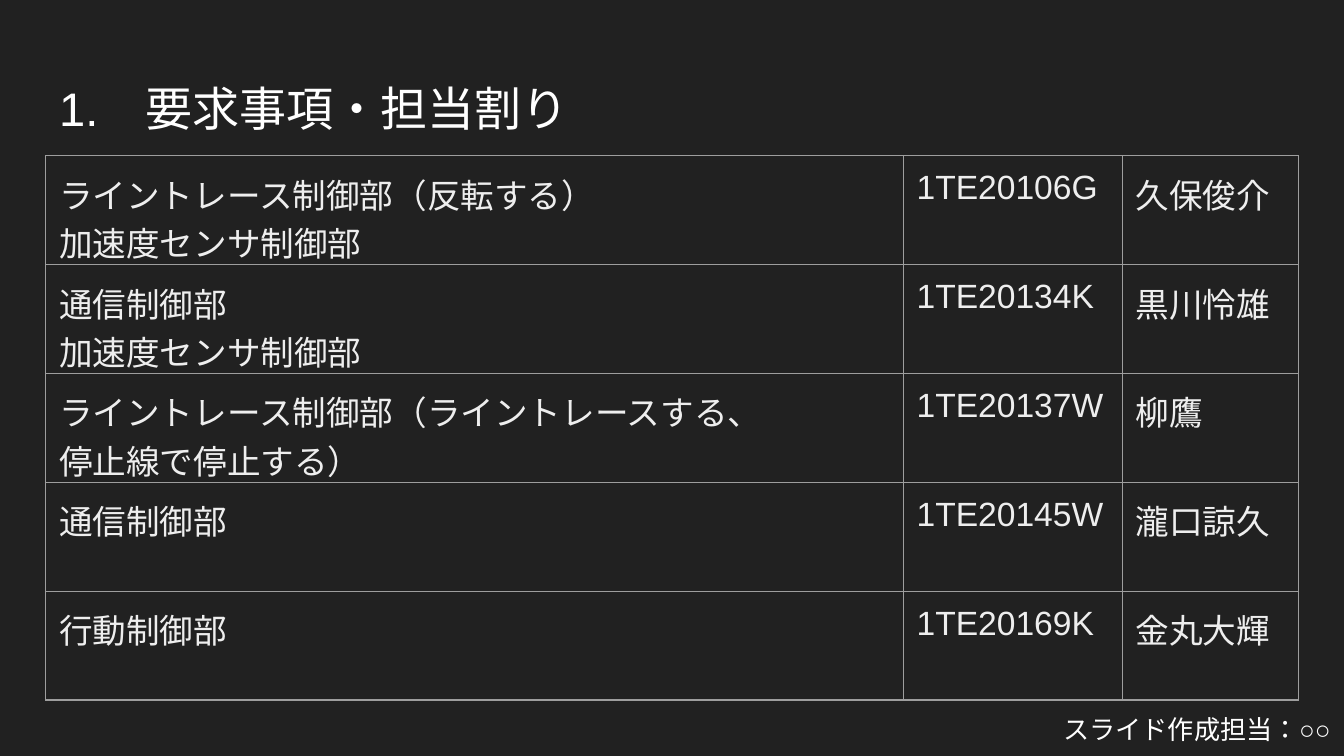
import pptx
import pptx.util
import pptx.dml.color
import pptx.enum.lang
import pptx.enum.text
import pptx.oxml
import pptx.oxml.ns
from lxml import etree

Inches = pptx.util.Inches
RGBColor = pptx.dml.color.RGBColor
ALIGN = pptx.enum.text.PP_ALIGN
ANCHOR = pptx.enum.text.MSO_ANCHOR
FIT = pptx.enum.text.MSO_AUTO_SIZE

DARK = RGBColor(0x21, 0x21, 0x21)
WHITE = RGBColor(0xFF, 0xFF, 0xFF)
PALE = RGBColor(0xEE, 0xEE, 0xEE)
GREY = RGBColor(0x9E, 0x9E, 0x9E)
FACE = "Arial"
INSET = 0.1
WIDTHS = (6.38, 1.63, 1.31)
HEIGHT = 0.81
ROWS = [
    ("ライントレース制御部（反転する）\n加速度センサ制御部", "1TE20106G", "久保俊介"),
    ("通信制御部\n加速度センサ制御部", "1TE20134K", "黒川怜雄"),
    ("ライントレース制御部（ライントレースする、\n停止線で停止する）", "1TE20137W", "柳鷹"),
    ("通信制御部", "1TE20145W", "瀧口諒久"),
    ("行動制御部", "1TE20169K", "金丸大輝"),
]


def pad(item):
    """Give a text frame or a table cell equal insets."""
    for side in ("left", "top", "right", "bottom"):
        setattr(item, f"margin_{side}", Inches(INSET))


def write(frame, text, size, color, align=ALIGN.LEFT, east=True):
    frame.text = text
    look = {"name": FACE, "size": pptx.util.Pt(size), "bold": False,
            "language_id": pptx.enum.lang.MSO_LANGUAGE_ID.JAPANESE}
    for para in frame.paragraphs:
        para.alignment = align
        for run in para.runs:
            for key, value in look.items():
                setattr(run.font, key, value)
            run.font.color.rgb = color
            # East Asian letters use the same face
            if east:
                face = etree.SubElement(run.font._element, pptx.oxml.ns.qn("a:ea"))
                face.set("typeface", FACE)


def place(shape, box):
    for key, value in zip(("left", "top", "width", "height"), box):
        setattr(shape, key, Inches(value))


def add_title(slide, box):
    title = slide.shapes.title
    place(title, box)
    frame = title.text_frame
    pad(frame)
    frame.word_wrap = True
    frame.auto_size = FIT.NONE
    frame.vertical_anchor = ANCHOR.TOP
    write(frame, "1.　要求事項・担当割り", 25.2, WHITE)


def add_lines(cell):
    """Draw the four borders of a cell."""
    props = cell._tc.get_or_add_tcPr()
    for spot, side in enumerate(("lnL", "lnR", "lnT", "lnB")):
        line = pptx.oxml.parse_xml(
            f'<a:{side} {pptx.oxml.ns.nsdecls("a")} w="{pptx.util.Pt(0.75)}">'
            f'<a:solidFill><a:srgbClr val="{GREY}"/></a:solidFill></a:{side}>')
        props.insert(spot, line)


def add_grid(slide, box):
    shape = slide.shapes.add_table(len(ROWS), len(WIDTHS), *map(Inches, box))
    table = shape.table
    for flag in ("first_row", "horz_banding"):
        setattr(table, flag, False)
    for column, width in zip(table.columns, WIDTHS):
        column.width = Inches(width)
    for row, texts in zip(table.rows, ROWS):
        row.height = Inches(HEIGHT)
        for cell, text in zip(row.cells, texts):
            pad(cell)
            cell.vertical_anchor = ANCHOR.TOP
            cell.fill.background()
            write(cell.text_frame, text, 18, PALE, east=False)
            add_lines(cell)
    # Row and column sizes rule the grid; the frame keeps its own box
    place(shape, box)


def add_credit(slide, box):
    frame = slide.shapes.add_textbox(*map(Inches, box)).text_frame
    pad(frame)
    frame.word_wrap = True
    frame.auto_size = FIT.SHAPE_TO_FIT_TEXT
    write(frame, "スライド作成担当：○○", 14, WHITE, ALIGN.RIGHT)


def main():
    deck = pptx.Presentation()
    deck.slide_width = Inches(10)
    deck.slide_height = deck.slide_width * 9 // 16
    slide = deck.slides.add_slide(deck.slide_layouts[5])
    slide.background.fill.solid()
    slide.background.fill.fore_color.rgb = DARK

    # Heading, credit line and duty table
    add_title(slide, (0.34, 0.49, 9.32, 0.63))
    add_credit(slide, (0.07, 5.21, 9.93, 0.44))
    add_grid(slide, (0.34, 1.16, 3.28, 3.28))
    deck.save("out.pptx")


if __name__ == "__main__":
    main()
